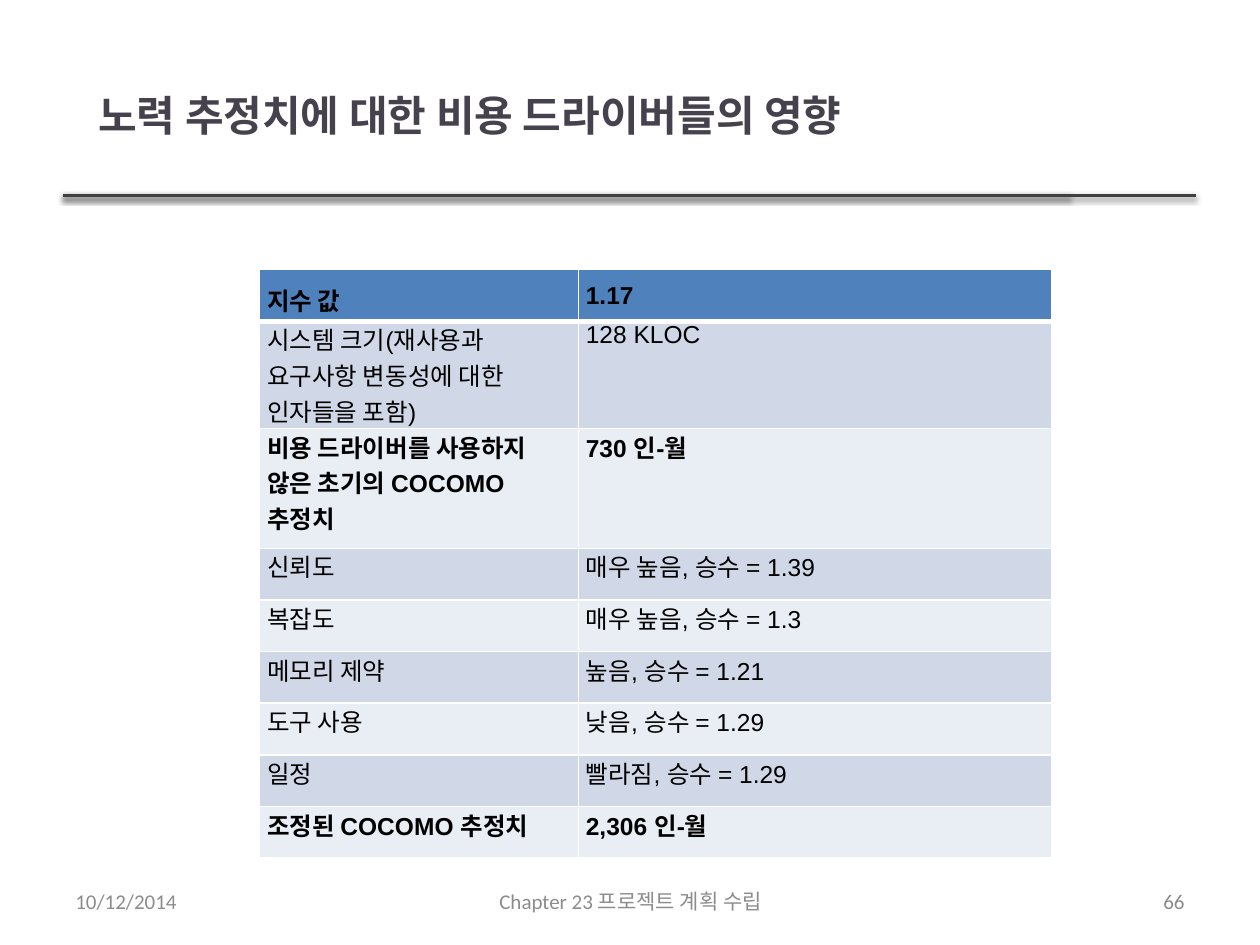
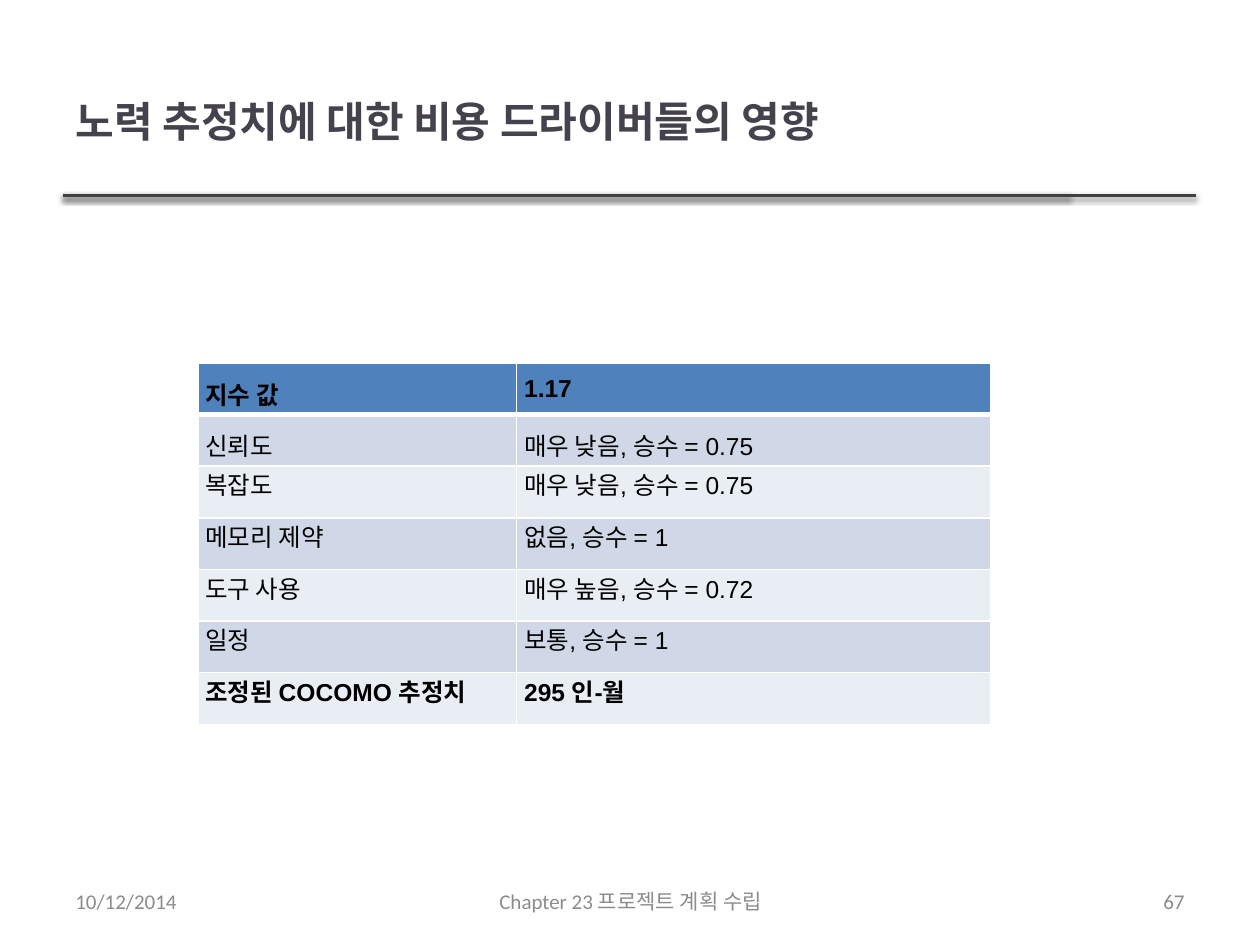
from lxml import etree
from pptx import Presentation
from pptx import util as u
from pptx.dml.color import RGBColor
from pptx.enum import shapes, text
from pptx.oxml import parse_xml
from pptx.oxml.ns import nsdecls, qn

COLORS = {
    "title": "46424D", "rule": "404040", "footer": "8C8C8C", "ink": "000000",
    "border": "FFFFFF", "header": "4F81BD", "odd": "D0D8E8", "even": "E9EDF4",
}
ALIGN = text.PP_ALIGN
TITLE = "노력 추정치에 대한 비용 드라이버들의 영향"
COLUMN_WIDTHS = (2.53, 3.76)
ROW_HEIGHT = 0.41

# Each row: factor, value, bold, top margin, bottom margin
SLIDES = [
    {
        "number": "66", "title_box": (0.68, 0.34, 7.67, 1.14), "table_at": (2.06, 2.14),
        "rows": [
            ("지수 값", "1.17", True, 0.1, 0),
            ("시스템 크기(재사용과 요구사항 변동성에 대한 인자들을 포함)", "128 KLOC", False, 0, 0),
            ("비용 드라이버를 사용하지 않은 초기의 COCOMO 추정치", "730 인-월", True, 0, 0.1),
            ("신뢰도", "매우 높음, 승수 = 1.39", False, 0, 0),
            ("복잡도", "매우 높음, 승수 = 1.3", False, 0, 0),
            ("메모리 제약", "높음, 승수 = 1.21", False, 0, 0),
            ("도구 사용", "낮음, 승수 = 1.29", False, 0, 0),
            ("일정", "빨라짐, 승수 = 1.29", False, 0, 0),
            ("조정된 COCOMO 추정치", "2,306 인-월", True, 0, 0),
        ],
    },
    {
        "number": "67", "title_box": (0.5, 0.34, 7.96, 1.23), "table_at": (1.57, 2.88),
        "rows": [
            ("지수 값", "1.17", True, 0.1, 0),
            ("신뢰도", "매우 낮음, 승수 = 0.75", False, 0.1, 0),
            ("복잡도", "매우 낮음, 승수 = 0.75", False, 0, 0),
            ("메모리 제약", "없음, 승수 = 1", False, 0, 0),
            ("도구 사용", "매우 높음, 승수 = 0.72", False, 0, 0),
            ("일정", "보통, 승수 = 1", False, 0, 0),
            ("조정된 COCOMO 추정치", "295 인-월", True, 0, 0.1),
        ],
    },
]


def write(frame, words, size=14, font="Arial", color="ink", bold=False,
          align=ALIGN.LEFT, space_after=0):
    frame.word_wrap = True
    paragraph = frame.paragraphs[0]
    paragraph.alignment = align
    paragraph.space_after = u.Pt(space_after)
    run = paragraph.add_run()
    run.text = words
    run.font.size = u.Pt(size)
    run.font.name = font
    run.font.bold = bold
    run.font.color.rgb = RGBColor.from_string(COLORS[color])


def add_borders(cell, top, bottom):
    """Draw all four edges; top and bottom are widths in points."""
    properties = cell._tc.get_or_add_tcPr()
    for edge, width in (("lnL", 1), ("lnR", 1), ("lnT", top), ("lnB", bottom)):
        properties.append(parse_xml(
            f'<a:{edge} {nsdecls("a")} w="{u.Pt(width)}"><a:solidFill>'
            f'<a:srgbClr val="{COLORS["border"]}"/></a:solidFill></a:{edge}>'))


deck = Presentation()
deck.slide_width, deck.slide_height = u.Inches(10), u.Inches(7.5)

for content in SLIDES:
    slide = deck.slides.add_slide(deck.slide_layouts[5])

    # Two overlapping rules under the title
    for rule_end in (8.49, 9.49):
        rule = slide.shapes.add_connector(
            shapes.MSO_CONNECTOR.STRAIGHT,
            u.Inches(0.5), u.Inches(1.55), u.Inches(rule_end), u.Inches(1.55))
        rule.line.color.rgb = RGBColor.from_string(COLORS["rule"])
        rule.line.width = u.Pt(2)
        effects = etree.SubElement(rule._element.spPr, qn("a:effectLst"))
        effects.append(parse_xml(
            f'<a:outerShdw {nsdecls("a")} blurRad="{u.Pt(3.1)}" dist="{u.Pt(1.6)}" '
            'dir="5400000" rotWithShape="0"><a:srgbClr val="000000">'
            '<a:alpha val="38000"/></a:srgbClr></a:outerShdw>'))

    title = slide.shapes.title
    title.left, title.top, title.width, title.height = map(u.Inches, content["title_box"])
    title.text_frame.auto_size = text.MSO_AUTO_SIZE.NONE
    title.text_frame.vertical_anchor = text.MSO_ANCHOR.MIDDLE
    write(title.text_frame, TITLE, size=24, color="title", bold=True)

    rows = content["rows"]
    left, top = content["table_at"]
    estimates = slide.shapes.add_table(
        len(rows), len(COLUMN_WIDTHS), u.Inches(left), u.Inches(top),
        u.Inches(sum(COLUMN_WIDTHS)), u.Inches(ROW_HEIGHT * len(rows))).table
    for column, width in zip(estimates.columns, COLUMN_WIDTHS):
        column.width = u.Inches(width)

    for row, (factor, value, bold, margin_top, margin_bottom) in enumerate(rows):
        estimates.rows[row].height = u.Inches(ROW_HEIGHT)
        fill = "header" if row == 0 else "odd" if row % 2 else "even"
        for column, (words, align) in enumerate(((factor, ALIGN.LEFT), (value, ALIGN.JUSTIFY))):
            cell = estimates.cell(row, column)
            cell.margin_left = cell.margin_right = u.Inches(0.06)
            cell.margin_top = u.Inches(margin_top)
            cell.margin_bottom = u.Inches(margin_bottom)
            add_borders(cell, top=3 if row == 1 else 1, bottom=3 if row == 0 else 1)
            cell.fill.solid()
            cell.fill.fore_color.rgb = RGBColor.from_string(COLORS[fill])
            write(cell.text_frame, words, bold=bold, align=align, space_after=3)

    for words, left, width, align in (
        ("10/12/2014", 0.5, 2.33, ALIGN.LEFT),
        ("Chapter 23 프로젝트 계획 수립", 3.42, 3.17, ALIGN.CENTER),
        (content["number"], 7.17, 2.33, ALIGN.RIGHT),
    ):
        footer = slide.shapes.add_textbox(
            u.Inches(left), u.Inches(6.95), u.Inches(width), u.Inches(0.4)).text_frame
        footer.vertical_anchor = text.MSO_ANCHOR.MIDDLE
        write(footer, words, size=12, font="Calibri", color="footer", align=align)

deck.save("out.pptx")
